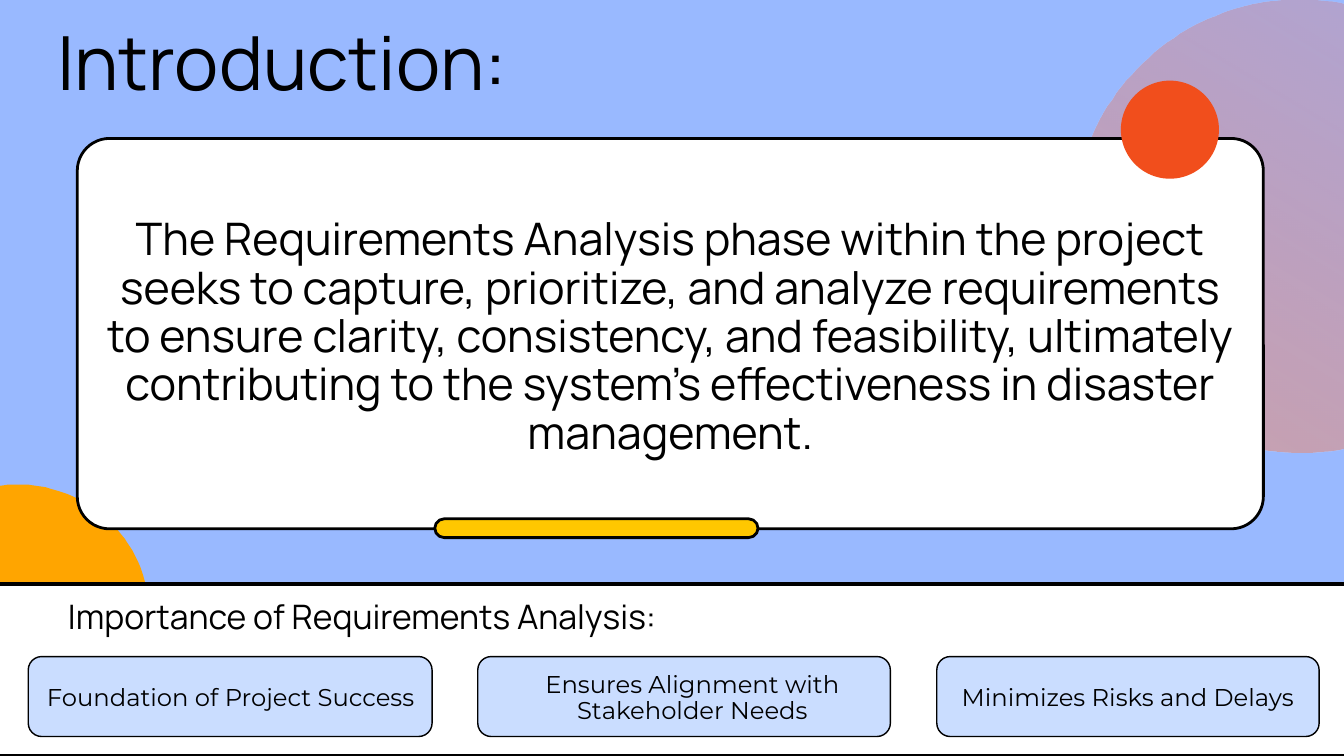
import math
from pptx import Presentation
from pptx import util as u
from pptx.dml.color import RGBColor
from pptx.enum import shapes, text
from pptx.oxml import ns
from lxml import etree

PX = 9144
PAGE_WIDTH, PAGE_HEIGHT = 2000, 1125

BLACK = RGBColor(0x00, 0x00, 0x00)
WHITE = RGBColor(0xFF, 0xFF, 0xFF)
SKY = RGBColor(0x99, 0xB9, 0xFF)
PALE_BLUE = RGBColor(0xCA, 0xDD, 0xFF)
ORANGE = RGBColor(0xFF, 0xA5, 0x00)
YELLOW = RGBColor(0xFF, 0xC7, 0x00)
RED = RGBColor(0xF1, 0x4E, 0x1C)
CORAL = RGBColor(0xFC, 0x66, 0x45)
PEACH = RGBColor(0xFF, 0x8B, 0x59)

ROUNDED = shapes.MSO_SHAPE.ROUNDED_RECTANGLE
DISC = shapes.MSO_SHAPE.OVAL
RECTANGLE = shapes.MSO_SHAPE.RECTANGLE


def to_emu(*lengths):
    return [u.Emu(length * PX) for length in lengths]


def add_text(page, box, wording, size, leading, font="Manrope",
             align=text.PP_ALIGN.CENTER, color=BLACK):
    frame = page.shapes.add_textbox(*to_emu(*box)).text_frame
    frame.word_wrap = True
    frame.margin_left = frame.margin_right = 0
    frame.margin_top = frame.margin_bottom = 0
    para = frame.paragraphs[0]
    para.alignment = align
    para.line_spacing = u.Pt(leading)
    span = para.add_run()
    span.text = wording
    span.font.name = font
    span.font.size = u.Pt(size)
    span.font.color.rgb = color


def add_block(page, kind, box, fill, line=0, radius=0):
    block = page.shapes.add_shape(kind, *to_emu(*box))
    block.shadow.inherit = False
    block.fill.solid()
    block.fill.fore_color.rgb = fill
    if line:
        block.line.color.rgb = BLACK
        block.line.width = u.Pt(line)
    else:
        block.line.fill.background()
    if radius:
        block.adjustments[0] = radius / min(box[2:])


def add_clipped_disc(page, center, radius, limits):
    left, top, right, bottom = limits
    points = []
    for degree in range(0, 360, 2):
        angle = math.radians(degree)
        x = center[0] + radius * math.cos(angle)
        y = center[1] + radius * math.sin(angle)
        points.append((min(max(x, left), right), min(max(y, top), bottom)))
    builder = page.shapes.build_freeform(*points[0], scale=PX)
    builder.add_line_segments(points[1:], close=True)
    disc = builder.convert_to_shape()
    disc.shadow.inherit = False
    disc.line.fill.background()
    return disc


def fill_with_fade(shape, stops, angle):
    shape.fill.gradient()
    shape.fill.gradient_angle = angle
    for stop, (color, opacity) in zip(shape.fill.gradient_stops, stops):
        stop.color.rgb = color
    colors = shape._element.spPr.iter(ns.qn("a:srgbClr"))
    for node, (color, opacity) in zip(list(colors), stops):
        etree.SubElement(node, ns.qn("a:alpha"), val=str(opacity * 1000))


def draw_backdrop(page):
    page.background.fill.solid()
    page.background.fill.fore_color.rgb = SKY
    halo = add_clipped_disc(page, (1934, 337), 337, (1597, 0, PAGE_WIDTH, 674))
    fill_with_fade(halo, [(CORAL, 25), (PEACH, 50)], 239)
    sun = add_clipped_disc(page, (27, 917), 196, (-20, 721, 223, 1114))
    sun.fill.solid()
    sun.fill.fore_color.rgb = ORANGE


def draw_card(page, box, wording):
    left, top, width, height = box
    add_block(page, ROUNDED, box, WHITE, line=3, radius=48)
    add_block(page, ROUNDED, (left + 532, top + height - 15, 481, 28),
              YELLOW, line=3, radius=14)
    add_text(page, (left + 27, top + 116, 1711, 367), wording, 48, 51.8)
    add_block(page, DISC, (left + width - 212, top - 86, 146, 146), RED)


def draw_pill(page, box, wording, text_left, text_width, lines=1):
    left, top, width, height = box
    add_block(page, ROUNDED, box, PALE_BLUE, line=1.5, radius=20)
    text_height = 38 * lines
    text_top = top + 62 - text_height // 2
    add_text(page, (left + text_left, text_top, text_width, text_height),
             wording, 26, 27.6, font="Montserrat")


def draw_panel(page, box):
    left, top, width, height = box
    add_block(page, RECTANGLE, box, WHITE, line=4.5)
    pills = [
        (49, 601, "Foundation of Project Success", 26, 551, 1),
        (718, 614, "Ensures Alignment with Stakeholder Needs", 46, 547, 2),
        (1401, 569, "Minimizes Risks and Delays", 25, 519, 1),
    ]
    for offset, pill_width, wording, text_left, text_width, lines in pills:
        draw_pill(page, (left + offset, top + 108, pill_width, 119),
                  wording, text_left, text_width, lines)
    add_text(page, (left + 37, top + 27, 1018, 56),
             "Importance of Requirements Analysis:", 36.1, 36.5)


def main():
    deck = Presentation()
    deck.slide_width, deck.slide_height = to_emu(PAGE_WIDTH, PAGE_HEIGHT)
    page = deck.slides.add_slide(deck.slide_layouts[6])
    draw_backdrop(page)
    draw_card(page, (115, 206, 1765, 581),
              "The Requirements Analysis phase within the project seeks to "
              "capture, prioritize, and analyze requirements to ensure "
              "clarity, consistency, and feasibility, ultimately contributing "
              "to the system's effectiveness in disaster management.")
    add_text(page, (85, 44, 784, 125), "Introduction:", 80, 80.8,
             align=text.PP_ALIGN.LEFT)
    draw_panel(page, (-7, 869, 2060, 256))
    deck.save("out.pptx")


if __name__ == "__main__":
    main()
